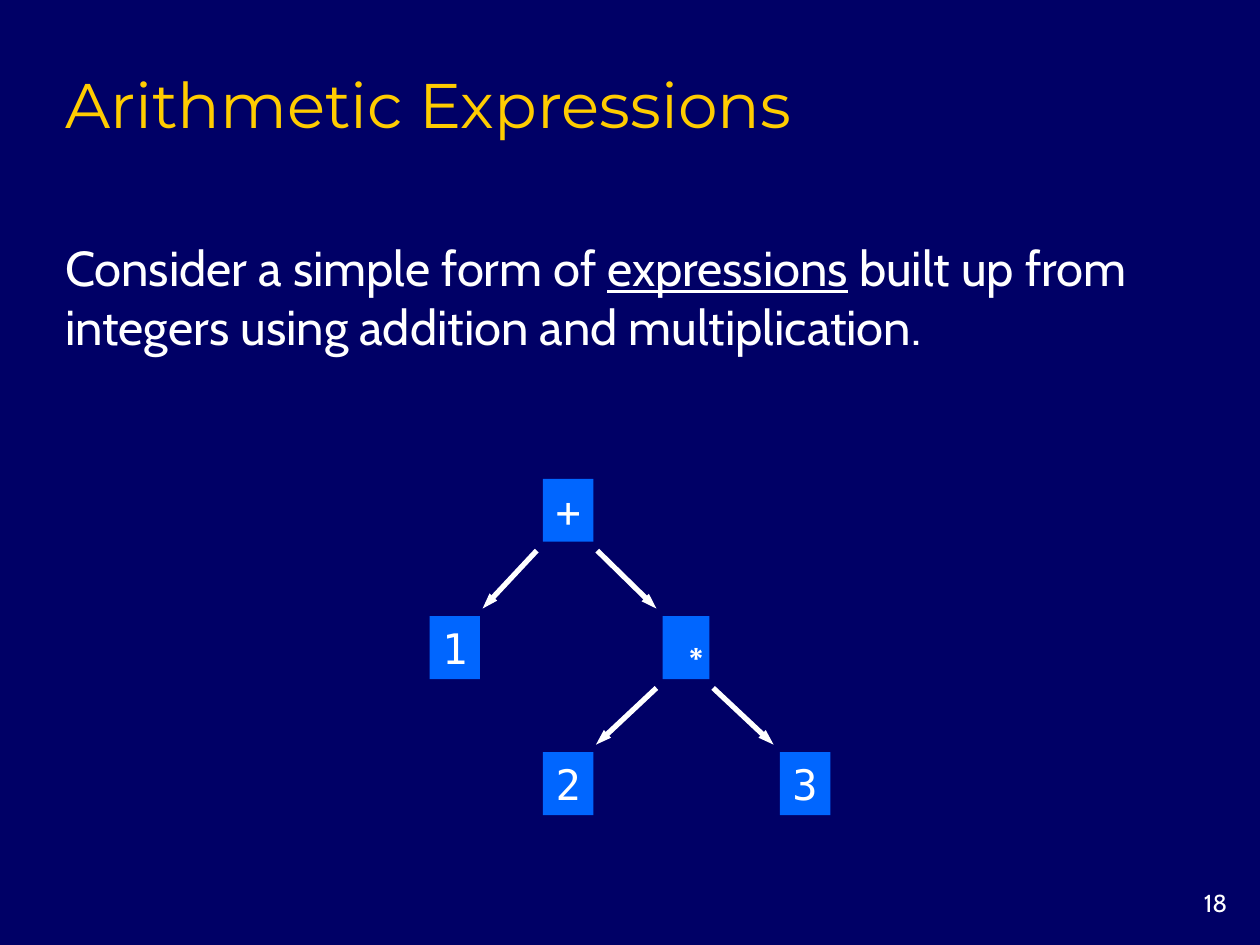
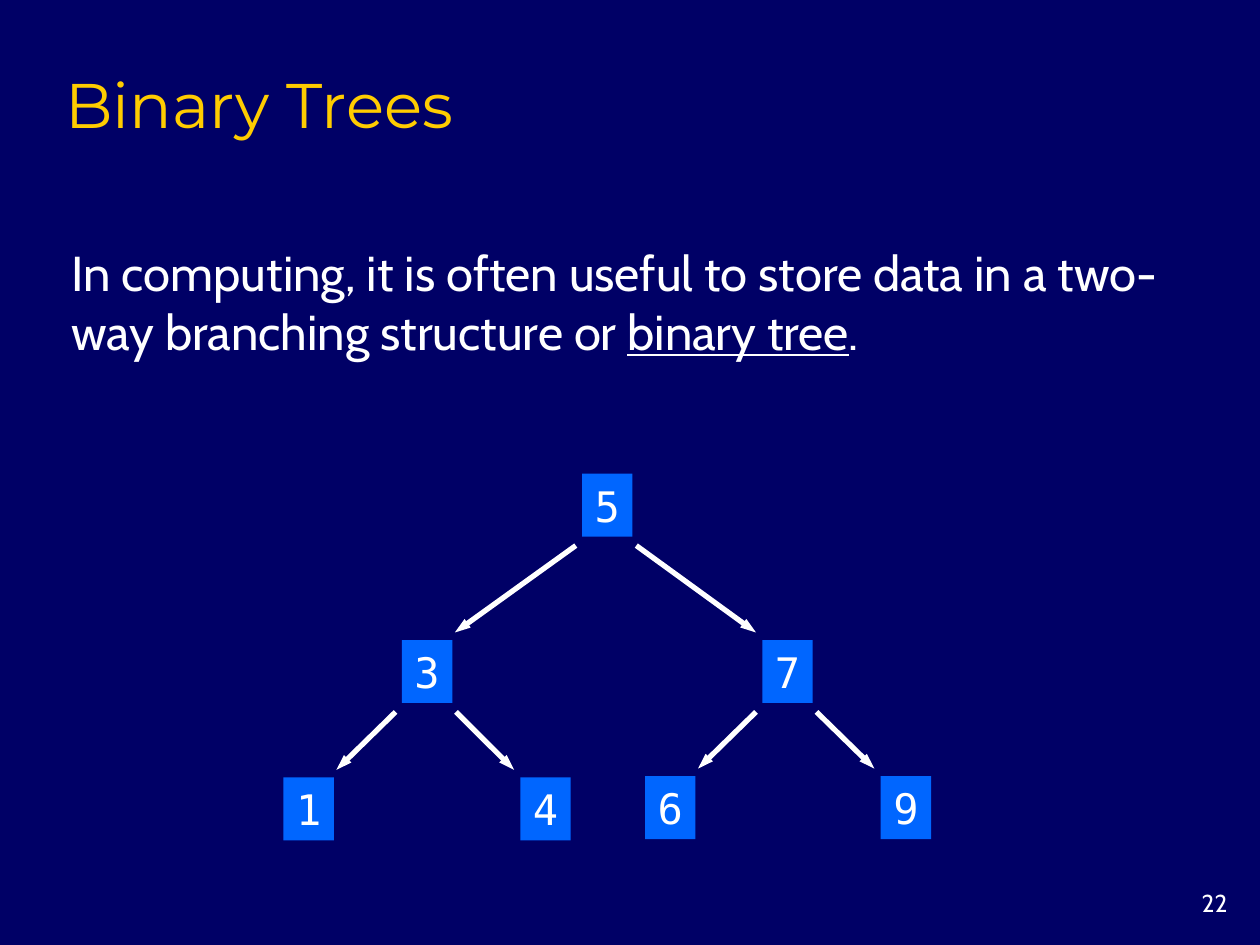
from lxml.etree import SubElement
from pptx import Presentation
from pptx.dml.color import RGBColor
from pptx.enum.shapes import MSO_CONNECTOR, MSO_SHAPE
from pptx.enum.text import MSO_ANCHOR, MSO_AUTO_SIZE, PP_ALIGN
from pptx.oxml.ns import qn
from pptx.util import Inches, Pt

COLOURS = {
    "background": "000066",
    "title": "FFCC00",
    "text": "FFFFFF",
    "node": "0066FF",
}
TITLE_FONT, BODY_FONT = "Montserrat", "Cabin"
NODE_FONT, STAR_FONT = "DejaVu Sans Mono", "Arial"
NODE_WIDTH, STAR_WIDTH, NODE_HEIGHT = 0.4, 0.37, 0.5

# Trees: label -> (left, top), and (parent, left child, right child)
EXPRESSION_NODES = {
    "+": (4.31, 3.8),
    "1": (3.41, 4.89),
    "∗": (5.26, 4.89),
    "2": (4.31, 5.97),
    "3": (6.19, 5.97),
}
EXPRESSION_BRANCHES = [("+", "1", "∗"), ("∗", "2", "3")]

SEARCH_NODES = {
    "5": (4.62, 3.76),
    "3": (3.19, 5.08),
    "7": (6.05, 5.08),
    "1": (2.25, 6.17),
    "4": (4.13, 6.17),
    "6": (5.12, 6.16),
    "9": (6.99, 6.16),
}
SEARCH_BRANCHES = [("5", "3", "7"), ("3", "1", "4"), ("7", "6", "9")]


def colour(name):
    return RGBColor.from_string(COLOURS[name])


def style(font, name, size, colour_name):
    font.name = name
    font.size = Pt(size)
    font.color.rgb = colour(colour_name)


def add_text(page, place, spans, font_name, size, colour_name="text",
             anchor=MSO_ANCHOR.TOP, align=PP_ALIGN.LEFT):
    """Add a wrapped text box; spans are (text, underlined) pairs."""
    box = page.shapes.add_textbox(*map(Inches, place))
    frame = box.text_frame
    frame.word_wrap = True
    frame.vertical_anchor = anchor
    paragraph = frame.paragraphs[0]
    paragraph.alignment = align
    for text, underlined in spans:
        span = paragraph.add_run()
        span.text = text
        style(span.font, font_name, size, colour_name)
        if underlined:
            span.font.underline = True
    return box


def add_page(deck, title, number):
    """Add a slide with the shared title and page number."""
    page = deck.slides.add_slide(deck.slide_layouts[6])
    add_text(page, (0.42, 0.42, 8.5, 0.75), [(title, False)],
             TITLE_FONT, 36, "title", MSO_ANCHOR.BOTTOM)
    add_text(page, (9.17, 7, 0.67, 0.33), [(str(number), False)],
             BODY_FONT, 14, align=PP_ALIGN.RIGHT)
    return page


def add_statement(page, place, spans):
    box = add_text(page, place, spans, BODY_FONT, 28, anchor=MSO_ANCHOR.MIDDLE)
    box.text_frame.auto_size = MSO_AUTO_SIZE.SHAPE_TO_FIT_TEXT


def node_width(label):
    return STAR_WIDTH if label == "∗" else NODE_WIDTH


def add_node(group, label, left, top):
    place = (left, top, node_width(label), NODE_HEIGHT)
    node = group.shapes.add_shape(MSO_SHAPE.RECTANGLE, *map(Inches, place))
    node.shadow.inherit = False
    node.fill.solid()
    node.fill.fore_color.rgb = colour("node")
    node.line.fill.background()
    frame = node.text_frame
    frame.text = label
    frame.word_wrap = False
    frame.auto_size = MSO_AUTO_SIZE.SHAPE_TO_FIT_TEXT
    frame.vertical_anchor = MSO_ANCHOR.MIDDLE
    paragraph = frame.paragraphs[0]
    paragraph.alignment = PP_ALIGN.CENTER
    font_name = STAR_FONT if label == "∗" else NODE_FONT
    style(paragraph.runs[0].font, font_name, 24, "text")


def add_arrow(group, start, end):
    arrow = group.shapes.add_connector(
        MSO_CONNECTOR.STRAIGHT, *map(Inches, (*start, *end)))
    arrow.line.color.rgb = colour("text")
    arrow.line.width = Pt(3)
    properties = arrow.line._get_or_add_ln()
    SubElement(properties, qn("a:tailEnd"), type="triangle", w="sm", len="med")
    SubElement(arrow._element.spPr, qn("a:effectLst"))


def add_tree(page, nodes, branches):
    """Draw the nodes, with arrows running between their facing corners."""
    group = page.shapes.add_group_shape()
    for label, (left, top) in nodes.items():
        add_node(group, label, left, top)
    for parent, left_child, right_child in branches:
        left, top = nodes[parent]
        start_y = top + NODE_HEIGHT + 0.07

        child_left, child_top = nodes[left_child]
        child_right = child_left + node_width(left_child)
        add_arrow(group, (left - 0.05, start_y),
                  (child_right + 0.02, child_top - 0.06))

        child_left, child_top = nodes[right_child]
        add_arrow(group, (left + node_width(parent) + 0.03, start_y),
                  (child_left - 0.05, child_top - 0.06))


def main():
    deck = Presentation()
    deck.slide_width, deck.slide_height = Inches(10), Inches(7.5)
    background = deck.slide_master.background.fill
    background.solid()
    background.fore_color.rgb = colour("background")

    # Arithmetic expressions
    page = add_page(deck, "Arithmetic Expressions", 18)
    add_statement(page, (0.42, 1.83, 9.1, 1.04), [
        ("Consider a simple form of ", False),
        ("expressions", True),
        (" built up from integers using addition and multiplication.", False),
    ])
    add_tree(page, EXPRESSION_NODES, EXPRESSION_BRANCHES)

    # Binary trees
    page = add_page(deck, "Binary Trees", 22)
    add_statement(page, (0.47, 1.87, 8.96, 1.04), [
        ("In computing, it is often useful to store data in a two-way "
         "branching structure or ", False),
        ("binary tree", True),
        (".", False),
    ])
    add_tree(page, SEARCH_NODES, SEARCH_BRANCHES)

    deck.save("out.pptx")


if __name__ == "__main__":
    main()
